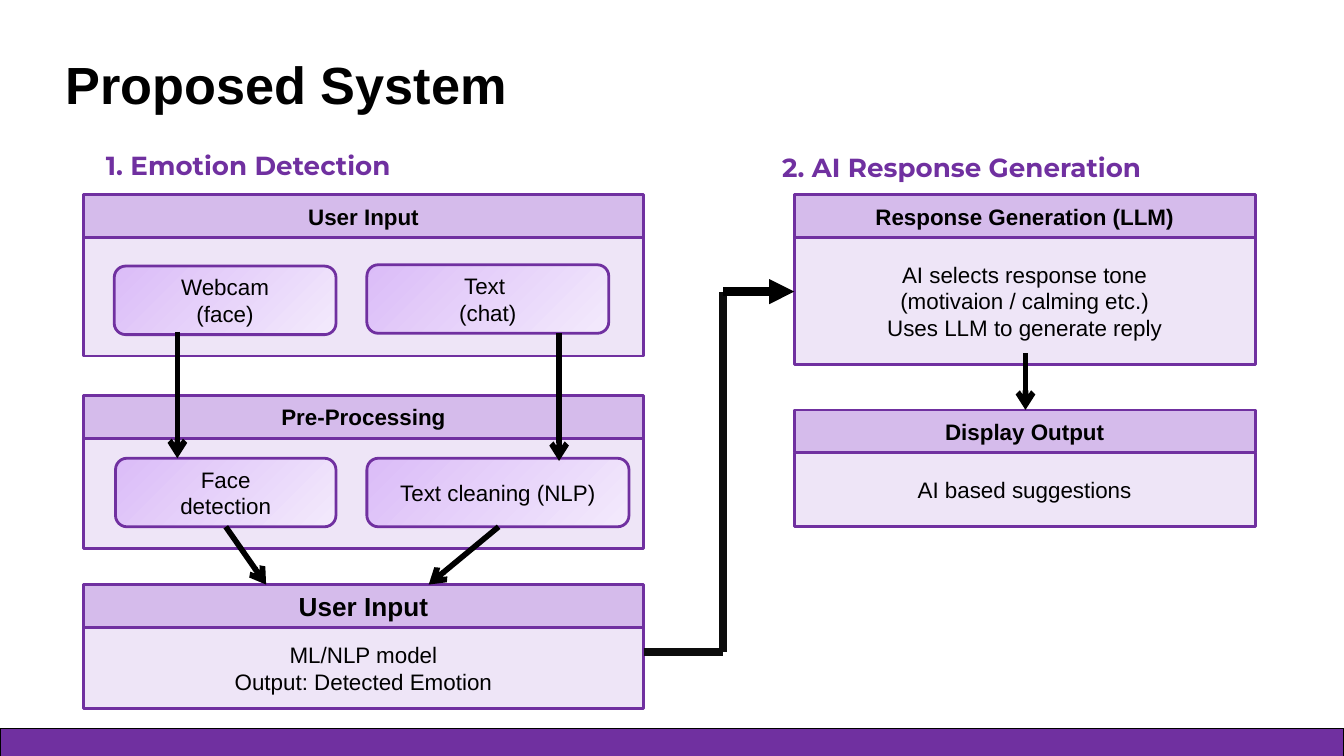
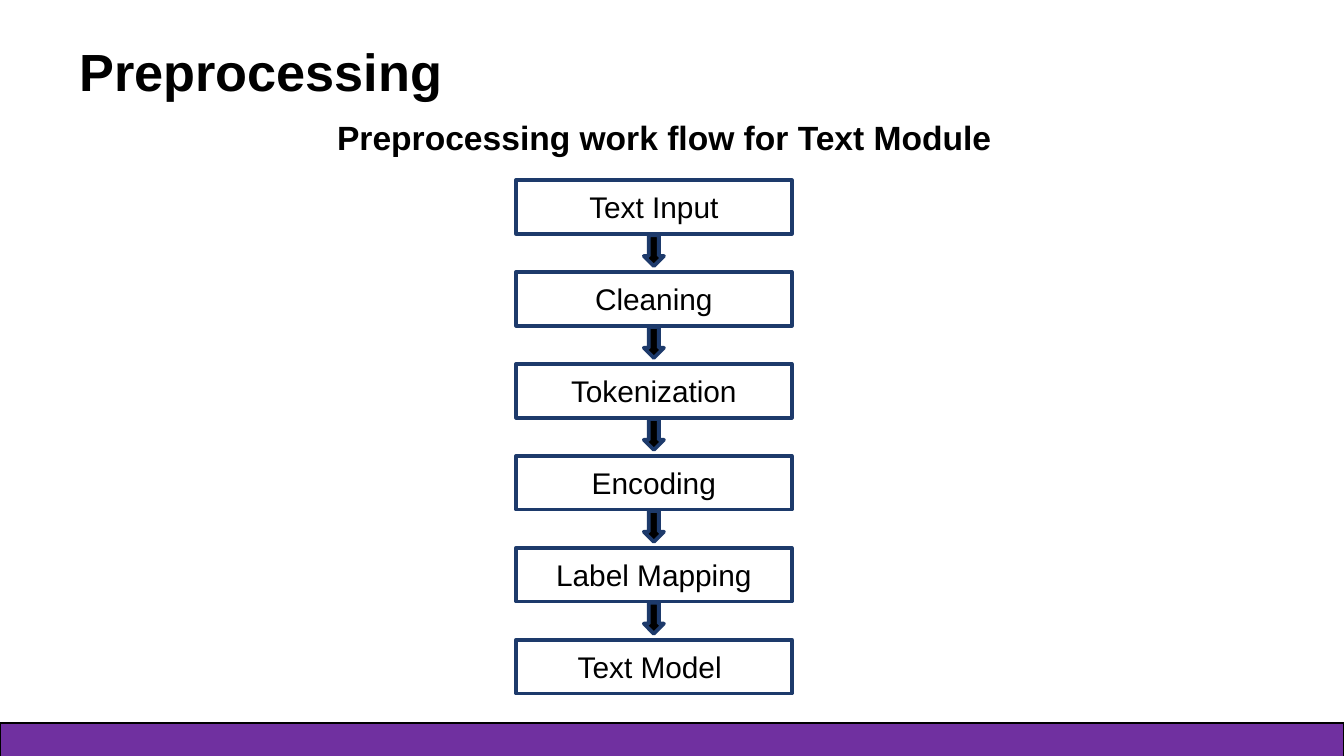
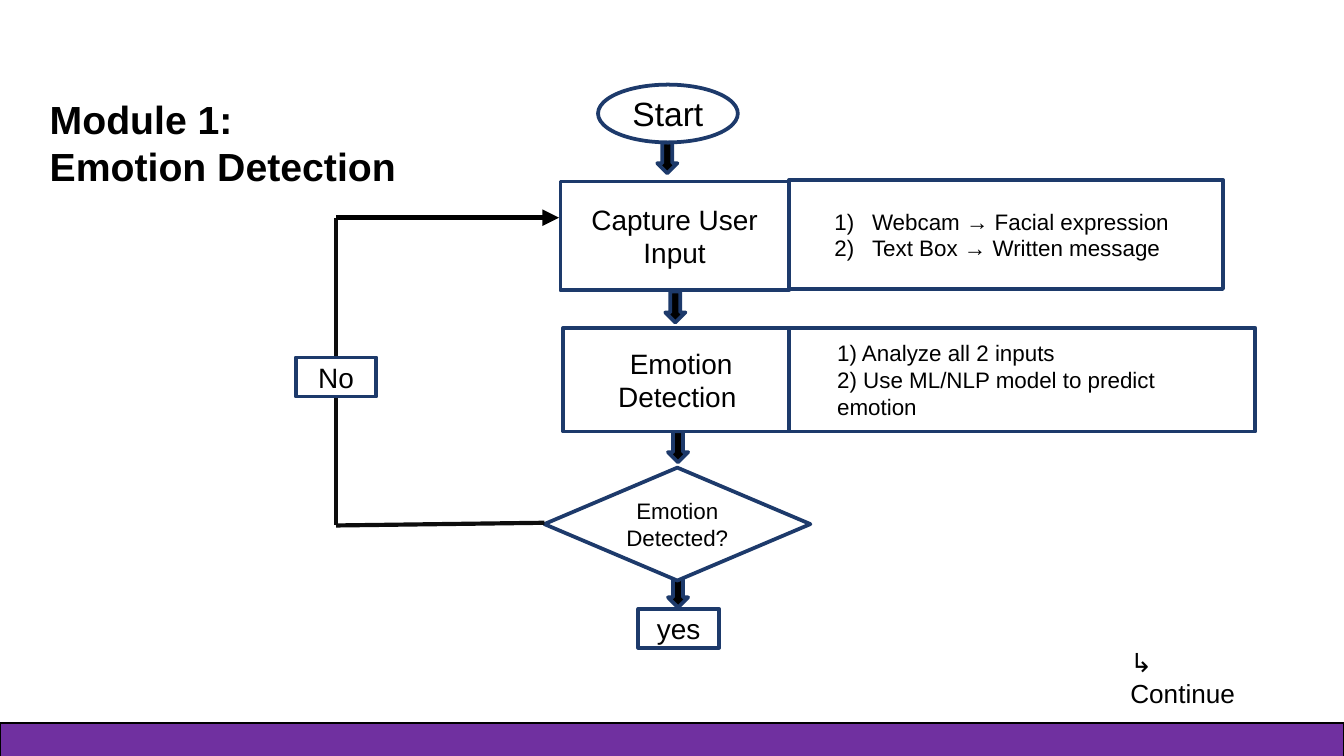
"""Build three slides on an emotion detection system."""
from lxml import etree
from pptx import Presentation
from pptx import util as u
from pptx.dml.color import RGBColor
from pptx.enum import shapes, text
from pptx.oxml.ns import qn

COLORS = {
    "purple": "7030A0", "header": "D5BBEB", "body": "EEE5F7",
    "grad_start": "DBBCF8", "grad_end": "F3EAFC",
    "navy": "1D3A6B", "black": "000000", "ink": "0D0D0D", "white": "FFFFFF",
}
KIND = shapes.MSO_SHAPE
LEFT, CENTER = text.PP_ALIGN.LEFT, text.PP_ALIGN.CENTER
TOP, MIDDLE = text.MSO_ANCHOR.TOP, text.MSO_ANCHOR.MIDDLE
WIDE, NARROW, EVEN = (0.1, 0.05), (0.07, 0.04), (0.1, 0.1)


def rgb(name):
    return RGBColor.from_string(COLORS[name])


def apply(target, values):
    for name, value in values.items():
        setattr(target, name, value)


def write(shape, content, size, bold=False, align=CENTER, anchor=MIDDLE,
          insets=WIDE, color="black", font="Arial", spacing=None):
    across, down = (u.Inches(inset) for inset in insets)
    frame = shape.text_frame
    apply(frame, {"text": content, "word_wrap": True, "vertical_anchor": anchor,
                  "auto_size": text.MSO_AUTO_SIZE.NONE,
                  "margin_left": across, "margin_right": across,
                  "margin_top": down, "margin_bottom": down})
    for paragraph in frame.paragraphs:
        apply(paragraph, {"alignment": align, "line_spacing": spacing})
        for run in paragraph.runs:
            apply(run.font, {"name": font, "size": u.Pt(size), "bold": bold})
            run.font.color.rgb = rgb(color)


def indent(paragraph, left, first=0, numbered=False):
    properties = paragraph._p.get_or_add_pPr()
    properties.set("marL", str(u.Inches(left)))
    properties.set("indent", str(u.Inches(first)))
    if numbered:
        etree.SubElement(properties, qn("a:buAutoNum"), type="arabicParenR")


def add_box(slide, kind, bounds, fill, line, width):
    shape = slide.shapes.add_shape(kind, *map(u.Inches, bounds))
    shape.shadow.inherit = False
    shape.fill.solid()
    shape.fill.fore_color.rgb = rgb(fill)
    shape.line.color.rgb = rgb(line)
    shape.line.width = u.Pt(width)
    return shape


def add_label(slide, bounds, content, size, **style):
    label = slide.shapes.add_textbox(*map(u.Inches, bounds))
    write(label, content, size, align=LEFT, **style)
    return label


def add_line(slide, start, end, width, color="black", arrowhead=None):
    points = map(u.Inches, (*start, *end))
    connector = slide.shapes.add_connector(shapes.MSO_CONNECTOR.STRAIGHT, *points)
    connector.line.color.rgb = rgb(color)
    connector.line.width = u.Pt(width)
    if arrowhead:
        etree.SubElement(connector.line._get_or_add_ln(), qn("a:tailEnd"), type=arrowhead)
    etree.SubElement(connector._element.spPr, qn("a:effectLst"))


def add_slide(presentation, title, bounds, size=28, footer_top=5.38, **style):
    slide = presentation.slides.add_slide(presentation.slide_layouts[5])
    placeholder = slide.shapes.title
    apply(placeholder, dict(zip(("left", "top", "width", "height"), map(u.Inches, bounds))))
    write(placeholder, title, size, bold=True, align=LEFT, **style)
    add_box(slide, KIND.RECTANGLE, (0, footer_top, 10, 5.63 - footer_top),
            "purple", "black", 0.75)
    return slide


def add_panel(slide, left, top, width, bottom, heading, content="", size=12):
    header = 0.32
    body = add_box(slide, KIND.RECTANGLE, (left, top + header, width, bottom - top - header),
                   "body", "purple", 1.5)
    write(body, content, 12)
    heading_box = add_box(slide, KIND.RECTANGLE, (left, top, width, header),
                          "header", "purple", 1.5)
    write(heading_box, heading, size, bold=True)


def add_pill(slide, left, top, width, content):
    pill = add_box(slide, KIND.ROUNDED_RECTANGLE, (left, top, width, 0.51),
                   "body", "purple", 1.5)
    pill.fill.gradient()
    pill.fill.gradient_angle = 315
    for stop, name in zip(pill.fill.gradient_stops, ("grad_start", "grad_end")):
        stop.color.rgb = rgb(name)
        stop.position = 0 if name == "grad_start" else 1
    write(pill, content, 12)


def add_step(slide, bounds, content, size, kind=KIND.PARALLELOGRAM, align=CENTER):
    step = add_box(slide, kind, bounds, "white", "navy", 2)
    if kind == KIND.PARALLELOGRAM:
        step.adjustments[0] = 0
    write(step, content, size, align=align, insets=NARROW)
    return step


def add_down_arrow(slide, left, top):
    add_box(slide, KIND.DOWN_ARROW, (left, top, 0.15, 0.23), "black", "navy", 2)


def build_system(presentation):
    slide = add_slide(presentation, "Proposed System", (0.39, 0.28, 4.05, 0.69),
                      footer_top=5.42, insets=EVEN)
    heading = {"bold": True, "color": "purple", "font": "Montserrat", "insets": EVEN}
    add_label(slide, (0.69, 1.06, 3.49, 0.34), "1. Emotion Detection", 14, **heading)
    add_label(slide, (5.72, 1.05, 3.49, 0.34), "2. AI Response Generation", 14,
              spacing=1.2, **heading)
    detection, response = (0.62, 4.17), (5.91, 3.43)
    for (left, width), top, bottom, *texts in (
            (detection, 1.45, 2.65, "User Input"),
            (detection, 2.94, 4.08, "Pre-Processing"),
            (detection, 4.35, 5.27, "User Input", "ML/NLP model\vOutput: Detected Emotion", 14),
            (response, 1.45, 2.71, "Response Generation (LLM)",
             "AI selects response tone\n(motivaion / calming etc.)\nUses LLM to generate reply"),
            (response, 3.05, 3.92, "Display Output", "AI based suggestions")):
        add_panel(slide, left, top, width, bottom, *texts)
    for pill in ((0.85, 1.98, 1.65, "Webcam\v(face)"),
                 (2.73, 1.97, 1.8, "Text \n(chat)"),
                 (0.86, 3.41, 1.64, "Face\ndetection"),
                 (2.73, 3.41, 1.95, "Text cleaning (NLP)")):
        add_pill(slide, *pill)
    for start, end in (((1.32, 2.47), (1.32, 3.41)), ((4.16, 2.48), (4.16, 3.43)),
                       ((1.68, 3.92), (1.98, 4.35)), ((3.71, 3.92), (3.19, 4.35)),
                       ((7.63, 2.63), (7.63, 3.05))):
        add_line(slide, start, end, 3, arrowhead="arrow")
    add_line(slide, (4.79, 4.85), (5.38, 4.85), 4.5, "ink")
    add_line(slide, (5.38, 4.85), (5.38, 2.17), 4.5, "ink")
    add_line(slide, (5.38, 2.17), (5.91, 2.17), 4.5, arrowhead="triangle")


def build_preprocessing(presentation):
    slide = add_slide(presentation, "Preprocessing", (0.49, 0.11, 4.25, 0.83), insets=EVEN)
    subtitle = add_label(slide, (2.29, 0.82, 5.57, 0.4),
                         "Preprocessing work flow for Text Module", 18, bold=True, anchor=TOP)
    indent(subtitle.text_frame.paragraphs[0], 0.12)
    steps = ("Text Input", "Cleaning", "Tokenization", "Encoding", "Label Mapping", "Text Model ")
    first, last = 1.34, 4.76
    pitch = (last - first) / (len(steps) - 1)
    for index, step in enumerate(steps):
        top = first + index * pitch
        add_step(slide, (3.84, top, 2.05, 0.4), step, 16)
        if index < len(steps) - 1:
            add_down_arrow(slide, 4.79, top + 0.41)


def build_module(presentation):
    slide = add_slide(presentation, "Module 1: \vEmotion Detection", (0.3, 0.67, 3.57, 0.78),
                      size=21, anchor=TOP, insets=NARROW)
    for arrow in ((4.89, 1.06), (4.95, 2.17), (4.97, 3.21), (4.97, 4.29)):
        add_down_arrow(slide, *arrow)
    add_step(slide, (4.45, 0.63, 1.04, 0.43), "Start", 18, KIND.OVAL)
    add_step(slide, (4.17, 1.35, 1.7, 0.81), "Capture User Input", 15)
    inputs = add_step(slide, (5.87, 1.34, 3.23, 0.81),
                      "Webcam → Facial expression\nText Box → Written message", 12, align=LEFT)
    for paragraph in inputs.text_frame.paragraphs:
        indent(paragraph, 0.28, -0.28, numbered=True)
    add_step(slide, (4.19, 2.44, 1.7, 0.77), " Emotion Detection", 15)
    add_step(slide, (5.87, 2.44, 3.47, 0.77),
             "1) Analyze all 2 inputs\n2) Use ML/NLP model to predict emotion", 12, align=LEFT)
    add_step(slide, (4.05, 3.48, 1.98, 0.84), "Emotion Detected?", 12, KIND.DIAMOND)
    add_step(slide, (4.75, 4.53, 0.6, 0.29), "yes", 15)
    add_line(slide, (2.5, 3.91), (4.05, 3.89), 2.25, "ink")
    add_line(slide, (2.5, 2.95), (2.5, 3.91), 2.25, "ink")
    add_line(slide, (2.5, 1.62), (2.5, 2.66), 2.25, "ink")
    add_line(slide, (2.5, 1.62), (4.16, 1.62), 3, arrowhead="triangle")
    add_step(slide, (2.2, 2.66, 0.6, 0.29), "No", 15)
    add_label(slide, (8.34, 4.77, 1.1, 0.31), "↳ Continue", 14, anchor=TOP, insets=NARROW)


def main():
    presentation = Presentation()
    presentation.slide_width = u.Inches(10)
    presentation.slide_height = u.Inches(10 * 9 / 16)
    build_system(presentation)
    build_preprocessing(presentation)
    build_module(presentation)
    presentation.save("out.pptx")


if __name__ == "__main__":
    main()
